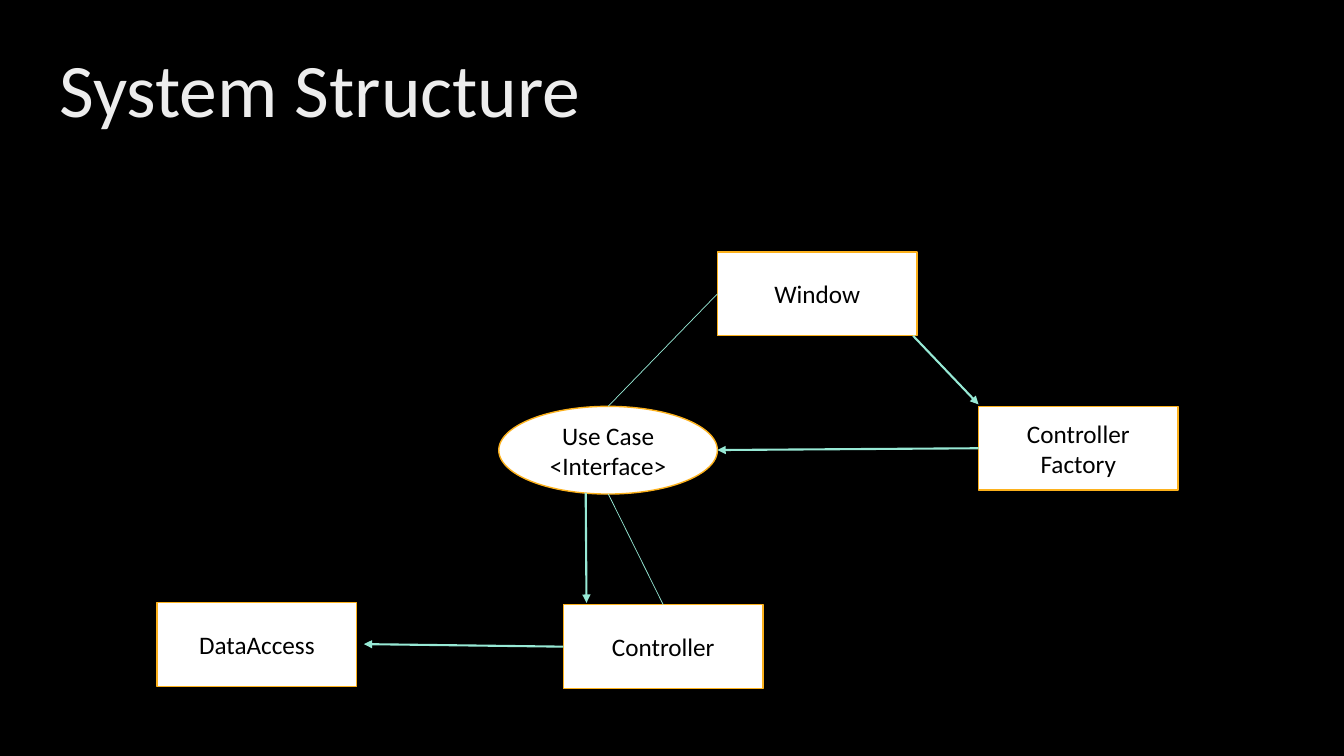
from dataclasses import dataclass

from lxml.etree import SubElement
from pptx import Presentation
from pptx.dml.color import RGBColor
from pptx.enum.shapes import MSO_CONNECTOR, MSO_SHAPE
from pptx.enum.text import MSO_ANCHOR, MSO_AUTO_SIZE, PP_ALIGN
from pptx.oxml.ns import qn
from pptx.util import Cm, Pt


@dataclass(frozen=True)
class Theme:
    font: str = "Calibri"
    back: str = "000000"
    title: str = "EDEDED"
    fill: str = "FFFFFF"
    edge: str = "FCB11C"
    text: str = "000000"
    link: str = "97E9D5"
    title_size: int = 54
    text_size: int = 18
    edge_width: float = 1
    thin: float = 0.5
    thick: float = 1.5


class Board:
    def __init__(self, deck, theme):
        self.theme = theme
        self.slide = deck.slides.add_slide(deck.slide_layouts[5])
        self.paint(self.slide.background.fill, theme.back)

    def paint(self, fill, color):
        fill.solid()
        fill.fore_color.rgb = RGBColor.from_string(color)

    def label(self, para, text, size, color):
        run = para.add_run()
        run.text = text
        run.font.name = self.theme.font
        run.font.size = Pt(size)
        run.font.color.rgb = RGBColor.from_string(color)

    def title(self, text, left, top, width, height):
        shape = self.slide.shapes.title
        shape.left, shape.top = Cm(left), Cm(top)
        shape.width, shape.height = Cm(width), Cm(height)
        frame = shape.text_frame
        frame.auto_size = MSO_AUTO_SIZE.NONE
        frame.vertical_anchor = MSO_ANCHOR.MIDDLE
        para = frame.paragraphs[0]
        para.alignment = PP_ALIGN.LEFT
        para.line_spacing = 0.9
        self.label(para, text, self.theme.title_size, self.theme.title)

    def node(self, lines, left, top, width=5.03, height=2.11,
             kind=MSO_SHAPE.RECTANGLE):
        shape = self.slide.shapes.add_shape(
            kind, Cm(left), Cm(top), Cm(width), Cm(height))
        shape.shadow.inherit = False
        self.paint(shape.fill, self.theme.fill)
        self.paint(shape.line.fill, self.theme.edge)
        shape.line.width = Pt(self.theme.edge_width)
        frame = shape.text_frame
        frame.word_wrap = True
        frame.vertical_anchor = MSO_ANCHOR.MIDDLE
        para = frame.paragraphs[0]
        para.alignment = PP_ALIGN.CENTER
        for index, line in enumerate(lines):
            if index:
                para.add_line_break()
            self.label(para, line, self.theme.text_size, self.theme.text)
        return shape

    def link(self, start, end, begin=None, finish=None, arrow=True):
        line = self.slide.shapes.add_connector(
            MSO_CONNECTOR.STRAIGHT, *map(Cm, start + end))
        if begin:
            line.begin_connect(*begin)
        if finish:
            line.end_connect(*finish)
        self.paint(line.line.fill, self.theme.link)
        line.line.width = Pt(self.theme.thick if arrow else self.theme.thin)
        props = line.element.spPr
        if arrow:
            SubElement(props.find(qn("a:ln")), qn("a:tailEnd"), type="triangle")
        SubElement(props, qn("a:effectLst"))


def main():
    deck = Presentation()
    deck.slide_width, deck.slide_height = Cm(33.87), Cm(19.05)
    board = Board(deck, Theme())
    board.title("System Structure", 1.24, 0.51, 29.21, 3.68)

    case = board.node(["Use Case", "<Interface>"], 12.57, 10.24, 5.51, 2.21,
                      MSO_SHAPE.OVAL)
    window = board.node(["Window"], 18.08, 6.35)
    control = board.node(["Controller"], 14.2, 15.24)
    maker = board.node(["Controller Factory"], 24.66, 10.24)
    board.node(["DataAccess"], 3.96, 15.19)

    board.link((15.33, 10.24), (18.08, 7.4), (case, 0), (window, 1), False)
    board.link((15.33, 12.45), (16.72, 15.24), None, (control, 0), False)
    board.link((23.01, 8.46), (24.66, 10.19))
    board.link((24.66, 11.3), (18.08, 11.34), (maker, 1))
    board.link((14.2, 16.3), (9.17, 16.23), (control, 1))
    board.link((14.76, 12.42), (14.78, 15.19))
    deck.save("out.pptx")


if __name__ == "__main__":
    main()
